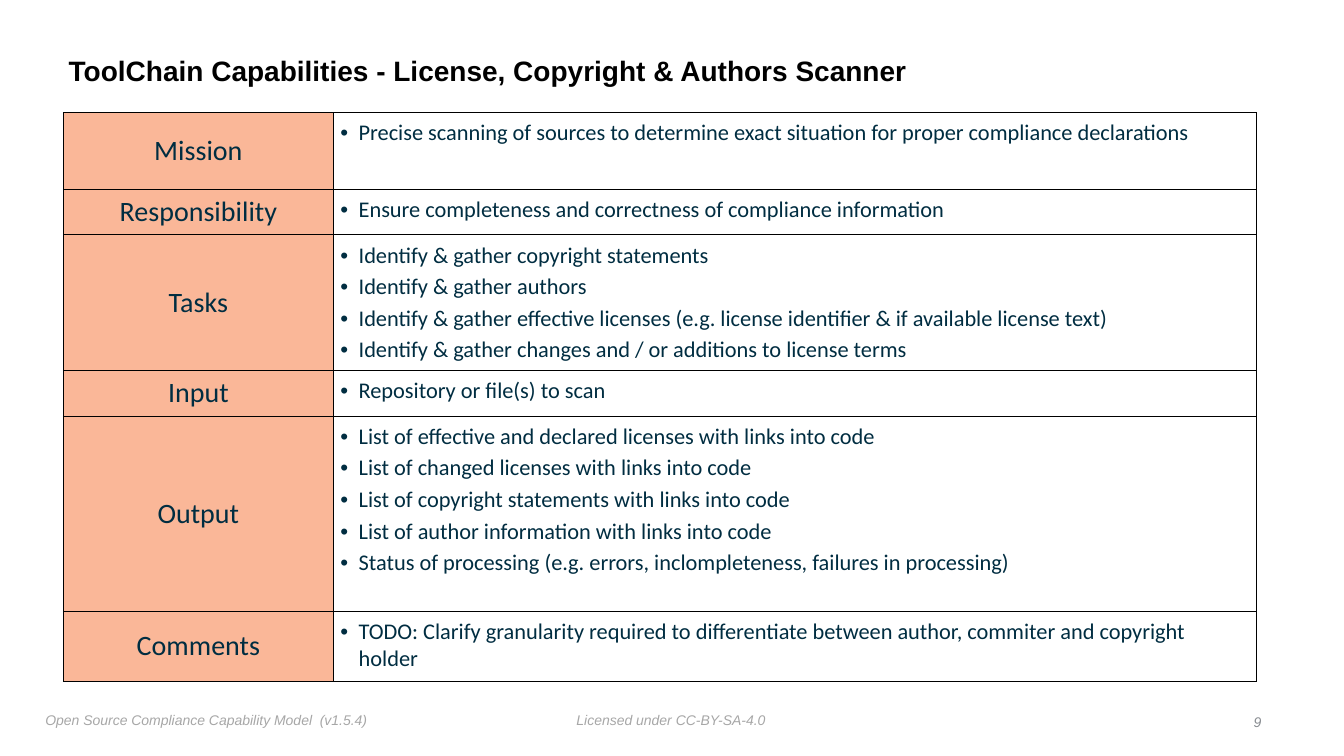
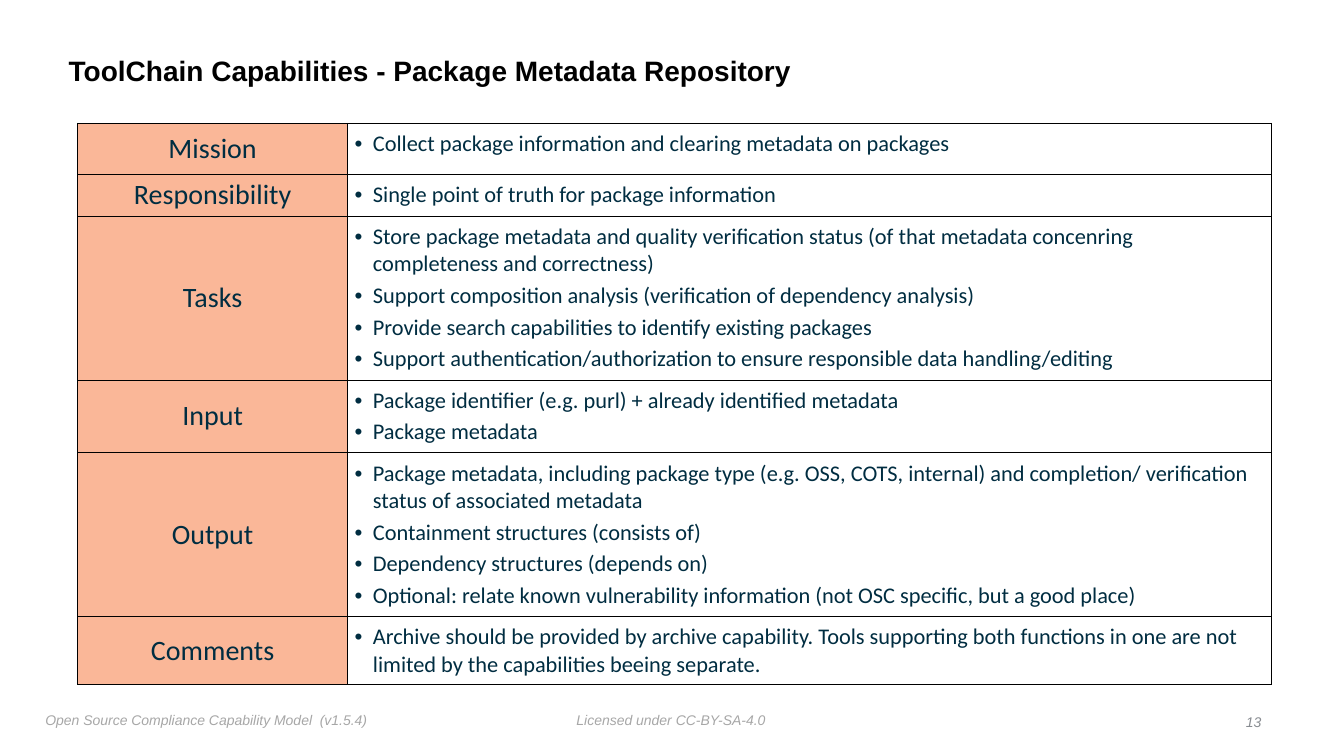
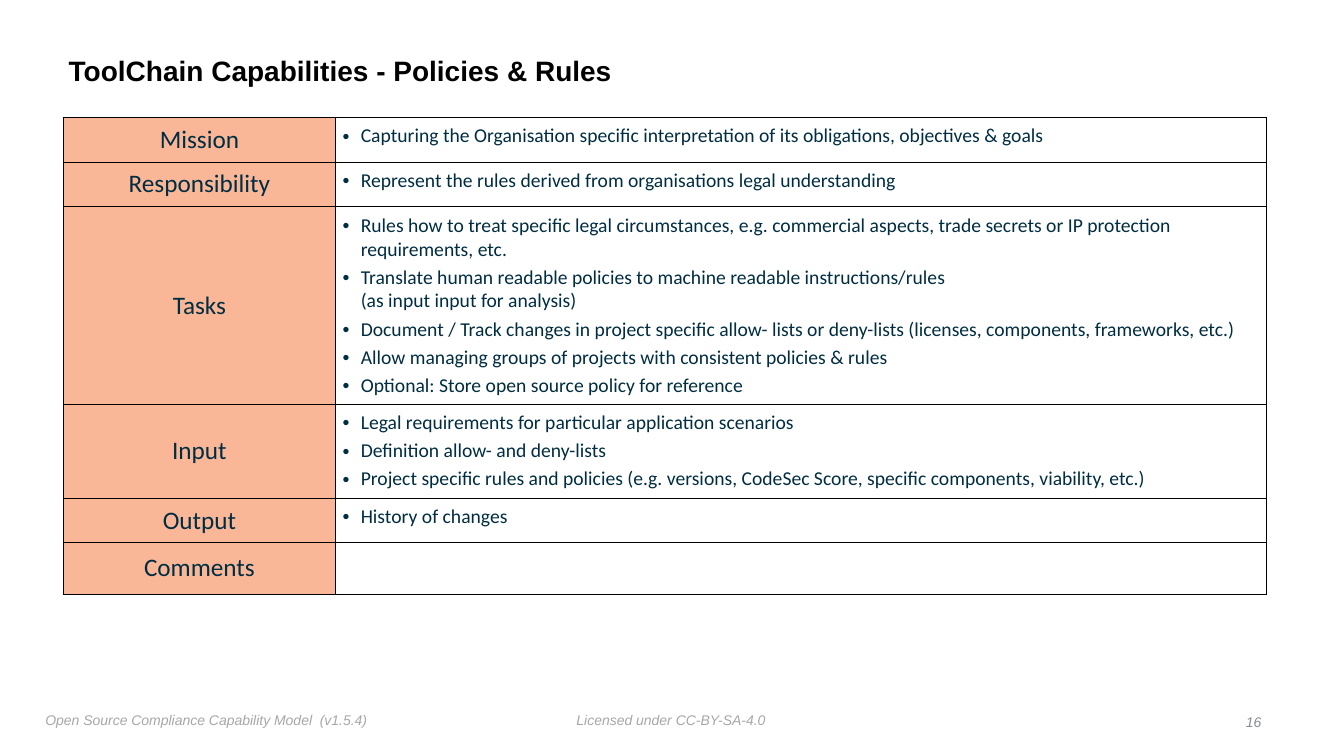
from pptx import Presentation
from pptx.util import Pt
from pptx.dml.color import RGBColor
from pptx.enum.text import PP_ALIGN, MSO_ANCHOR
from pptx.oxml.ns import qn
from lxml.etree import SubElement, Element

BLACK = RGBColor(0x00, 0x00, 0x00)
NAVY = RGBColor(0x00, 0x2D, 0x41)
PEACH = RGBColor(0xFA, 0xB7, 0x98)
GREY = RGBColor(0xA7, 0xA7, 0xA7)
SLATE = RGBColor(0x88, 0x8C, 0x91)

HEADS = ["Mission", "Responsibility", "Tasks", "Input", "Output", "Comments"]

# Per slide: title, number, table corner, column widths, label and list sizes,
# then row heights with the list of each row
SLIDES = [
    ("License, Copyright & Authors Scanner", 9, (45.2, 80.4), (193, 659.5), 20, 16, [
        (55, ["Precise scanning of sources to determine exact situation for proper "
              "compliance declarations"]),
        (32.3, ["Ensure completeness and correctness of compliance information"]),
        (97, ["Identify & gather copyright statements",
              "Identify & gather authors",
              "Identify & gather effective licenses (e.g. license identifier & if "
              "available license text)",
              "Identify & gather changes and / or additions to license terms"]),
        (32.5, ["Repository or file(s) to scan"]),
        (139.5, ["List of effective and declared licenses with links into code",
                 "List of changed licenses with links into code",
                 "List of copyright statements with links into code",
                 "List of author information with links into code",
                 "Status of processing (e.g. errors, inclompleteness, failures in "
                 "processing)"]),
        (50, ["TODO: Clarify granularity required to differentiate between author, "
              "commiter and copyright holder"]),
    ]),
    ("Package Metadata Repository", 13, (55.4, 88), (193, 659.5), 20, 16, [
        (36.5, ["Collect package information and clearing metadata on packages"]),
        (30, ["Single point of truth for package information"]),
        (117, ["Store package metadata and quality verification status (of that "
               "metadata concenring completeness and correctness)",
               "Support composition analysis (verification of dependency analysis)",
               "Provide search capabilities to identify existing packages",
               "Support authentication/authorization to ensure responsible data "
               "handling/editing"]),
        (52, ["Package identifier (e.g. purl) + already identified metadata",
              "Package metadata"]),
        (117, ["Package metadata, including package type (e.g. OSS, COTS, internal) "
               "and completion/ verification status of associated metadata",
               "Containment structures (consists of)",
               "Dependency structures (depends on)",
               "Optional: relate known vulnerability information (not OSC specific, "
               "but a good place)"]),
        (48.5, ["Archive should be provided by archive capability. Tools supporting "
                "both functions in one are not limited by the capabilities beeing "
                "separate."]),
    ]),
    ("Policies & Rules", 16, (45.2, 83.8), (194.5, 665), 18, 14, [
        (32, ["Capturing the Organisation specific interpretation of its obligations, "
              "objectives & goals"]),
        (31.8, ["Represent the rules derived from organisations legal understanding"]),
        (141.2, ["Rules how to treat specific legal circumstances, e.g. commercial "
                 "aspects, trade secrets or IP protection requirements, etc.",
                 "Translate human readable policies to machine readable "
                 "instructions/rules \n(as input input for analysis)",
                 "Document / Track changes in project specific allow- lists or "
                 "deny-lists (licenses, components, frameworks, etc.)",
                 "Allow managing groups of projects with consistent policies & rules",
                 "Optional: Store open source policy for reference"]),
        (67, ["Legal requirements for particular application scenarios",
              "Definition allow- and deny-lists",
              "Project specific rules and policies (e.g. versions, CodeSec Score, "
              "specific components, viability, etc.)"]),
        (32, ["History of changes"]),
        (36.5, []),
    ]),
]


def write(para, text, size, color, face="Calibri", align=PP_ALIGN.LEFT):
    para.text = text
    para.alignment = align
    font = para.font
    font.name, font.size, font.color.rgb = face, Pt(size), color
    return font


def frame(cell, inset):
    """Give a cell its margins and a thin black border."""
    cell.margin_left = cell.margin_right = Pt(inset)
    cell.margin_top = cell.margin_bottom = Pt(inset)
    props = cell._tc.get_or_add_tcPr()
    for spot, side in enumerate(["a:lnL", "a:lnR", "a:lnT", "a:lnB"]):
        line = Element(qn(side), w=str(Pt(0.5)))
        fill = SubElement(line, qn("a:solidFill"))
        SubElement(fill, qn("a:srgbClr"), val=str(BLACK))
        props.insert(spot, line)


deck = Presentation()
deck.slide_width, deck.slide_height = Pt(960), Pt(540)

# Shared title place
layout = deck.slide_layouts[5]
base = layout.placeholders[0]
base.left, base.top, base.width, base.height = Pt(45.4), Pt(28), Pt(774), Pt(47)

for name, num, spot, cols, big, small, rows in SLIDES:
    slide = deck.slides.add_slide(layout)

    # Footers and slide number
    for text, left, top, width, color, align in [
        ("Licensed under CC-BY-SA-4.0", 408.2, 504.7, 160, GREY, PP_ALIGN.LEFT),
        ("Open Source Compliance Capability Model  (v1.5.4)", 28.8, 504.7, 260, GREY,
         PP_ALIGN.LEFT),
        (str(num), 864.5, 506, 40, SLATE, PP_ALIGN.RIGHT),
    ]:
        box = slide.shapes.add_textbox(Pt(left), Pt(top), Pt(width), Pt(18)).text_frame
        box.word_wrap = True
        box.margin_left = box.margin_right = Pt(3.6)
        box.margin_top = box.margin_bottom = Pt(3.6)
        write(box.paragraphs[0], text, 10, color, "Arial", align).italic = True

    # Title
    head = slide.shapes.title.text_frame
    head.margin_left = head.margin_right = Pt(3.6)
    head.margin_top = head.margin_bottom = Pt(3.6)
    head.vertical_anchor = MSO_ANCHOR.MIDDLE
    para = head.paragraphs[0]
    write(para, "ToolChain Capabilities - " + name, 20, BLACK, "Arial").bold = True
    para.line_spacing = 0.9

    # Capability table
    high = sum(row[0] for row in rows)
    table = slide.shapes.add_table(len(rows), 2, Pt(spot[0]), Pt(spot[1]),
                                   Pt(sum(cols)), Pt(high)).table
    table.first_row = table.horz_banding = False
    for col, width in zip(table.columns, cols):
        col.width = Pt(width)
    for row, label, (height, items) in zip(table.rows, HEADS, rows):
        row.height = Pt(height)
        left, right = row.cells
        left.fill.solid()
        left.fill.fore_color.rgb = PEACH
        left.vertical_anchor = MSO_ANCHOR.MIDDLE
        frame(left, 0)
        write(left.text_frame.paragraphs[0], label, big, NAVY, align=PP_ALIGN.CENTER)

        right.fill.background()
        frame(right, 5)
        body = right.text_frame
        for pos, item in enumerate(items):
            para = body.add_paragraph() if pos else body.paragraphs[0]
            para.space_before = Pt(3)
            props = para._p.get_or_add_pPr()
            props.set("marL", str(Pt(13)))
            props.set("indent", str(-Pt(13)))
            SubElement(props, qn("a:buFont"), typeface="Arial")
            SubElement(props, qn("a:buChar"), char="•")
            write(para, item, small, NAVY)

deck.save("out.pptx")
